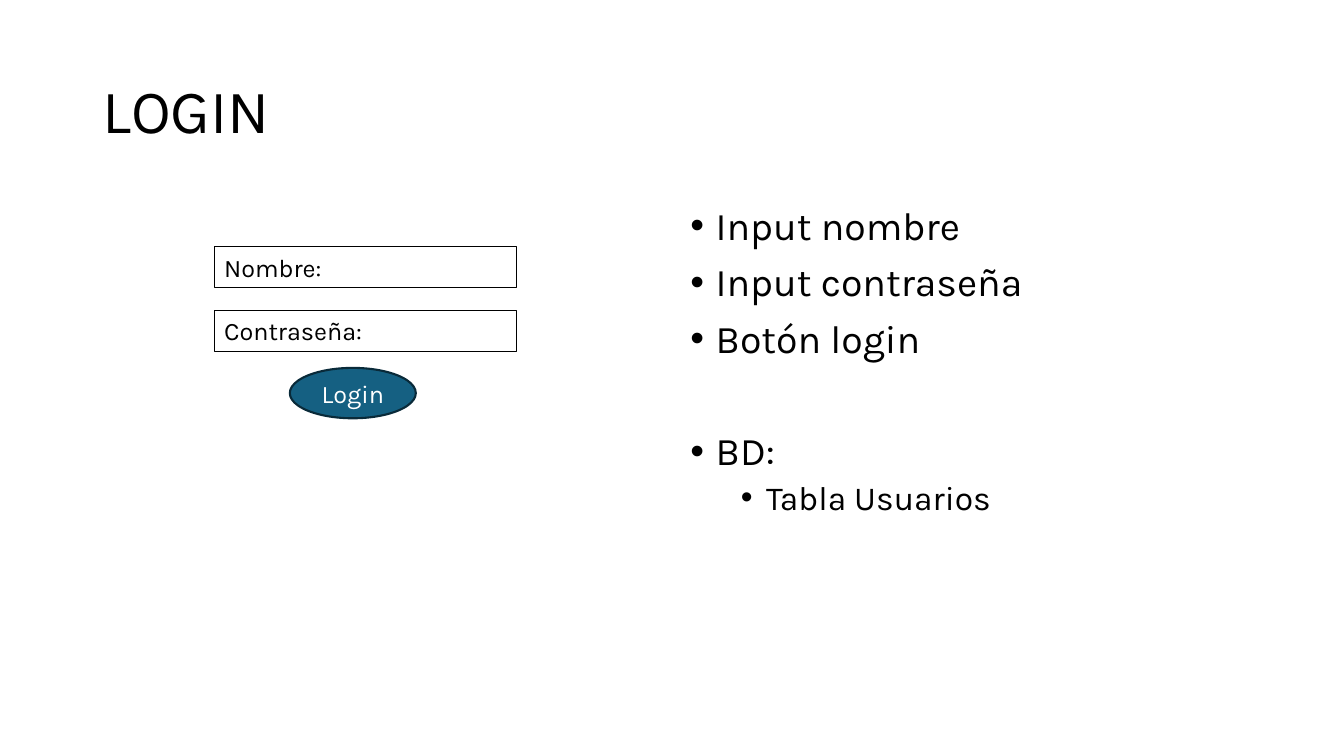
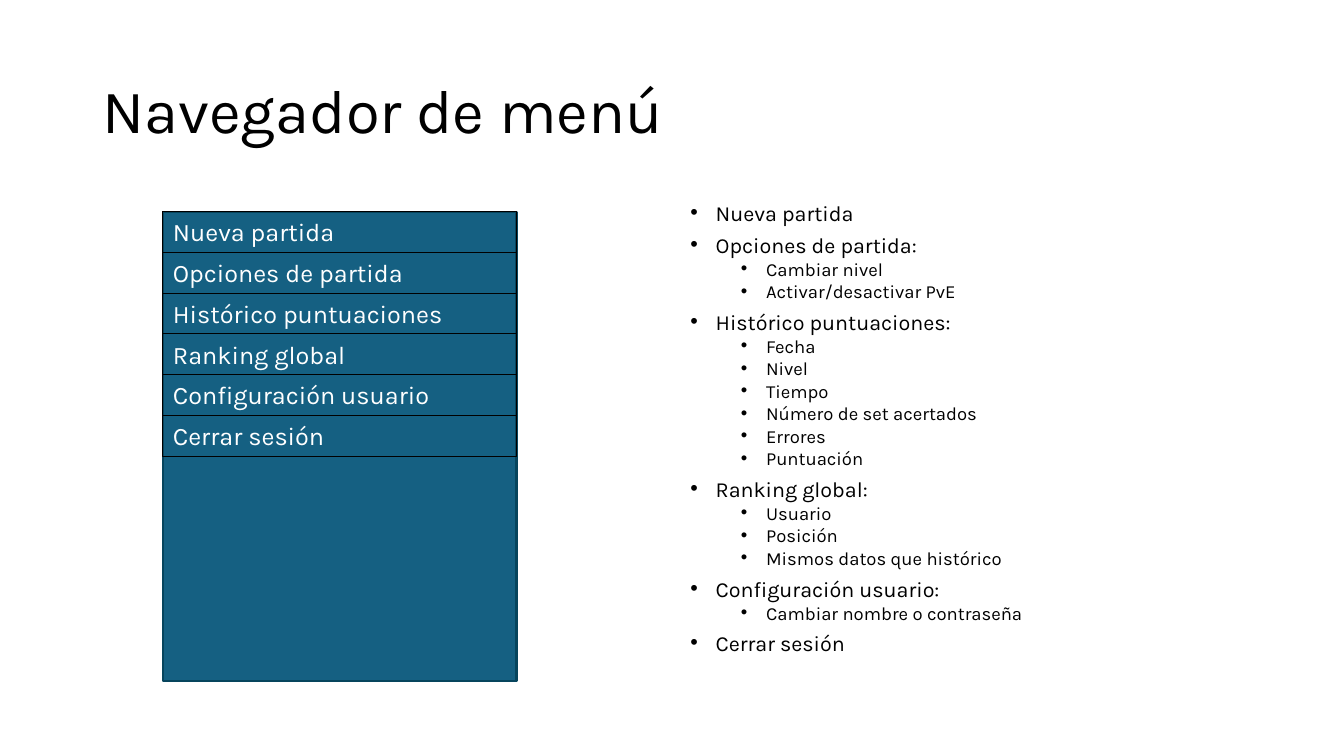
from dataclasses import dataclass

from lxml.etree import SubElement
from pptx import Presentation
from pptx.dml.color import RGBColor
from pptx.enum.shapes import MSO_SHAPE as SHAPE
from pptx.enum.text import MSO_ANCHOR as ANCHOR, MSO_AUTO_SIZE as AUTO, PP_ALIGN as ALIGN
from pptx.oxml.ns import qn
from pptx.util import Inches, Pt


@dataclass(frozen=True)
class Theme:
    font: str = "Karla"
    ink: str = "000000"
    paper: str = "FFFFFF"
    accent: str = "156082"
    button_line: str = "092A39"
    panel_line: str = "07455D"
    title_size: float = 44
    label_size: float = 18
    thin: float = 0.75
    thick: float = 1.5


@dataclass(frozen=True)
class ListStyle:
    sizes: tuple  # points, one per level
    line_spacing: float


T = Theme()
ROOMY = ListStyle((28, 24), 0.9)
DENSE = ListStyle((15.4, 13.2), 0.7)
SPACE_BEFORE = (10, 5)
INDENTS = (0.25, 0.75)

# Grid of 160 columns by 90 rows; boxes are (column, row, columns, rows)
UNIT = Inches(1 / 12)
TITLE_BOX = (11, 4.8, 138, 17.4)
BODY_BOX = (81, 24, 68, 57.1)
LABEL_ROWS = 4.85


def grid(*values):
    return [round(v * UNIT) for v in values]


def place(sp, box):
    sp.left, sp.top, sp.width, sp.height = grid(*box)


def style_text(p, size, color):
    for r in p.runs:
        r.font.name = T.font
        r.font.size = Pt(size)
        r.font.color.rgb = RGBColor.from_string(color)


def add_bullet(p, level):
    pPr = p._p.get_or_add_pPr()
    pPr.set("marL", str(Inches(INDENTS[level])))
    pPr.set("indent", str(-Inches(0.25)))
    SubElement(pPr, qn("a:buFont")).set("typeface", "Arial")
    SubElement(pPr, qn("a:buChar")).set("char", "•")


def fill_title(s, text):
    sp = s.shapes.title
    place(sp, TITLE_BOX)
    tf = sp.text_frame
    tf.text = text
    tf.auto_size = AUTO.NONE
    tf.vertical_anchor = ANCHOR.MIDDLE
    p = tf.paragraphs[0]
    p.alignment = ALIGN.LEFT
    p.line_spacing = 0.9
    style_text(p, T.title_size, T.ink)


def fill_list(s, items, style):
    """Fill the body with (level, text, extra points above) items."""
    sp = s.placeholders[1]
    place(sp, BODY_BOX)
    tf = sp.text_frame
    tf.text = "\n".join(text for _, text, _ in items)
    tf.auto_size = AUTO.NONE
    tf.vertical_anchor = ANCHOR.TOP
    for p, (level, _, extra) in zip(tf.paragraphs, items):
        p.level = level
        p.line_spacing = style.line_spacing
        p.space_before = Pt(SPACE_BEFORE[level] + extra)
        add_bullet(p, level)
        style_text(p, style.sizes[level], T.ink)


def add_box(s, kind, box, line, width, fill=None):
    sp = s.shapes.add_shape(kind, *grid(*box))
    sp.shadow.inherit = False
    if fill:
        sp.fill.solid()
        sp.fill.fore_color.rgb = RGBColor.from_string(fill)
    else:
        sp.fill.background()
    sp.line.color.rgb = RGBColor.from_string(line)
    sp.line.width = Pt(width)
    return sp


def set_label(sp, text, color, align, anchor):
    tf = sp.text_frame
    tf.text = text
    tf.word_wrap = True
    tf.vertical_anchor = anchor
    p = tf.paragraphs[0]
    p.alignment = align
    style_text(p, T.label_size, color)


def add_label_stack(s, labels, left, top, width, step, color):
    """Outlined, left-aligned labels at equal steps down the slide."""
    for i, text in enumerate(labels):
        box = (left, top + i * step, width, LABEL_ROWS)
        sp = add_box(s, SHAPE.RECTANGLE, box, T.ink, T.thin)
        set_label(sp, text, color, ALIGN.LEFT, ANCHOR.TOP)


def add_content_slide(prs, title, items, style):
    s = prs.slides.add_slide(prs.slide_layouts[1])
    fill_title(s, title)
    fill_list(s, items, style)
    return s


def build_login(prs):
    items = [
        (0, "Input nombre", 0),
        (0, "Input contraseña", 0),
        (0, "Botón login", 0),
        (0, "BD:", 40),
        (1, "Tabla Usuarios", 0),
    ]
    s = add_content_slide(prs, "LOGIN", items, ROOMY)
    add_label_stack(s, ["Nombre:", "Contraseña:"], 25.5, 29.4, 36, 7.6, T.ink)
    button = add_box(s, SHAPE.OVAL, (34.5, 43.8, 15, 6), T.button_line, T.thick, T.accent)
    set_label(button, "Login", T.paper, ALIGN.CENTER, ANCHOR.MIDDLE)


def build_menu(prs):
    sections = {
        "Nueva partida": [],
        "Opciones de partida": ["Cambiar nivel", "Activar/desactivar PvE"],
        "Histórico puntuaciones": [
            "Fecha", "Nivel", "Tiempo", "Número de set acertados", "Errores", "Puntuación",
        ],
        "Ranking global": ["Usuario", "Posición", "Mismos datos que histórico"],
        "Configuración usuario": ["Cambiar nombre o contraseña"],
        "Cerrar sesión": [],
    }
    items = []
    for name, details in sections.items():
        items.append((0, name + ":" if details else name, 0))
        items += [(1, detail, 0) for detail in details]
    s = add_content_slide(prs, "Navegador de menú", items, DENSE)
    left, top, width = 19.4, 25.2, 42.1
    add_box(s, SHAPE.RECTANGLE, (left, top, width, 55.9), T.panel_line, T.thick, T.accent)
    add_label_stack(s, sections, left, top, width, LABEL_ROWS, T.paper)


def main():
    prs = Presentation()
    prs.slide_width, prs.slide_height = grid(160, 90)
    build_login(prs)
    build_menu(prs)
    prs.save("out.pptx")


if __name__ == "__main__":
    main()
